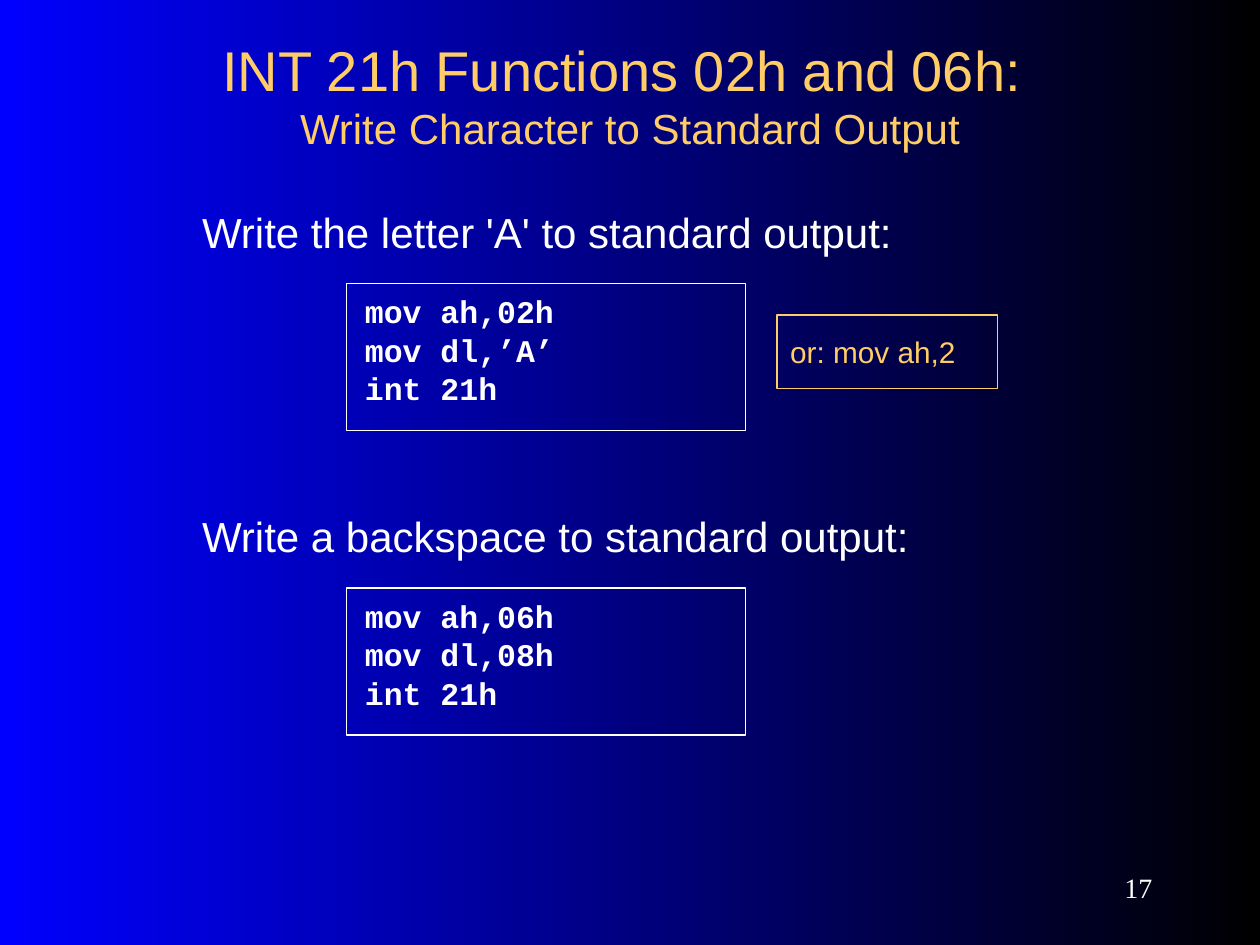
"""Build a slide on the INT 21h functions that write a character to standard output."""
from dataclasses import dataclass

from pptx import Presentation
from pptx.dml.color import RGBColor as Rgb
from pptx.enum.shapes import MSO_SHAPE as Shape
from pptx.enum.text import MSO_ANCHOR as Anchor, PP_ALIGN as Align
from pptx.util import Pt

PX = 9525


@dataclass(frozen=True)
class Style:
    font: str
    size: int
    color: str
    bold: bool = False


class Theme:
    black, blue, white, gold = "000000", "0000FF", "FFFFFF", "FFCC66"
    title = Style("Arial", 32, gold)
    subtitle = Style("Arial", 24, gold)
    lead = Style("Arial", 24, white)
    code = Style("Courier New", 18, white, True)
    note = Style("Arial", 17, gold)
    number = Style("Times New Roman", 16, white)
    border = 0.75


TITLE = "INT 21h Functions 02h and 06h: "
SUBTITLE = "Write Character to Standard Output"
EXAMPLES = [
    ("Write the letter 'A' to standard output:", ["mov ah,02h", "mov dl,’A’", "int 21h"]),
    ("Write a backspace to standard output:", ["mov ah,06h", "mov dl,08h", "int 21h"]),
]
NOTE = "or: mov ah,2"
PAGE_NUMBER = "17"

LEAD_TOP, CODE_TOP, EXAMPLE_STEP = 152, 216, 232


def set_frame(shape, inset, anchor):
    frame = shape.text_frame
    frame.word_wrap = True
    frame.vertical_anchor = anchor
    frame.margin_left = frame.margin_right = inset[0] * PX
    frame.margin_top = frame.margin_bottom = inset[1] * PX
    return frame


def add_label(page, area, anchor=Anchor.TOP):
    box = page.shapes.add_textbox(*(length * PX for length in area))
    return set_frame(box, (10, 5), anchor)


def add_frame(page, area, color, inset):
    box = page.shapes.add_shape(Shape.RECTANGLE, *(length * PX for length in area))
    box.shadow.inherit = False
    box.fill.background()
    box.line.color.rgb = Rgb.from_string(color)
    box.line.width = Pt(Theme.border)
    return set_frame(box, inset, Anchor.TOP)


def add_span(para, text, style):
    span = para.add_run()
    span.text = text
    span.font.name = style.font
    span.font.size = Pt(style.size)
    span.font.bold = style.bold
    span.font.color.rgb = Rgb.from_string(style.color)


def write(frame, lines, style, align=Align.LEFT, spacing=None, before=0):
    for index, line in enumerate(lines):
        para = frame.add_paragraph() if index else frame.paragraphs[0]
        para.alignment = align
        para.line_spacing = spacing
        if index:
            para.space_before = Pt(before)
        add_span(para, line, style)


def paint_background(page):
    fill = page.background.fill
    fill.gradient()
    fill.gradient_angle = 180
    for stop, color in zip(fill.gradient_stops, (Theme.black, Theme.blue)):
        stop.color.rgb = Rgb.from_string(color)


def main():
    deck = Presentation()
    deck.slide_width, deck.slide_height = 960 * PX, 720 * PX
    page = deck.slides.add_slide(deck.slide_layouts[6])
    paint_background(page)

    heading = add_label(page, (72, 40, 816, 64), Anchor.MIDDLE)
    write(heading, [TITLE], Theme.title, Align.CENTER)
    heading.paragraphs[0].add_line_break()
    add_span(heading.paragraphs[0], SUBTITLE, Theme.subtitle)

    for index, (lead, code) in enumerate(EXAMPLES):
        shift = index * EXAMPLE_STEP
        write(add_label(page, (144, LEAD_TOP + shift, 680, 216)), [lead], Theme.lead)
        frame = add_frame(page, (264, CODE_TOP + shift, 304, 112), Theme.white, (14, 19))
        write(frame, code, Theme.code, spacing=0.5, before=11.2)

    write(add_frame(page, (592, 240, 168, 56), Theme.gold, (10, 14)), [NOTE], Theme.note)
    number = add_label(page, (784, 656, 104, 40), Anchor.MIDDLE)
    write(number, [PAGE_NUMBER], Theme.number, Align.RIGHT)
    deck.save("out.pptx")


if __name__ == "__main__":
    main()
